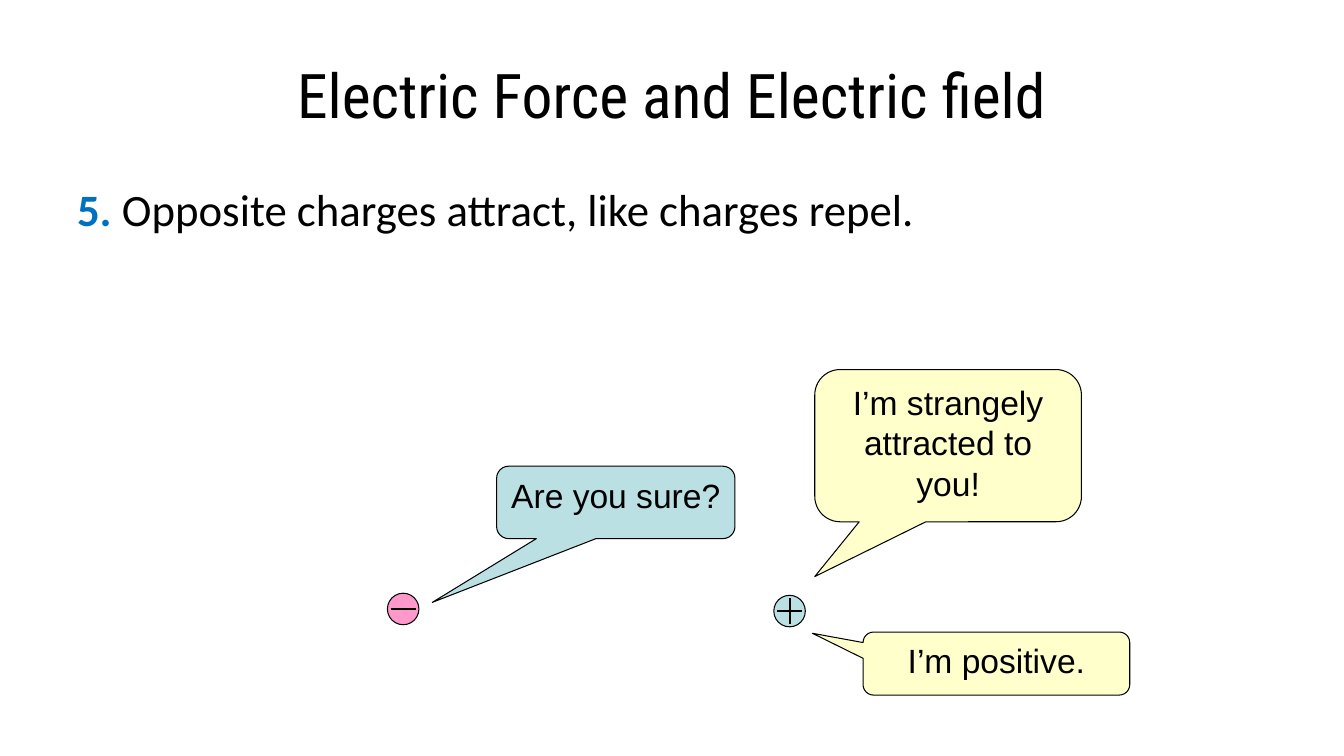
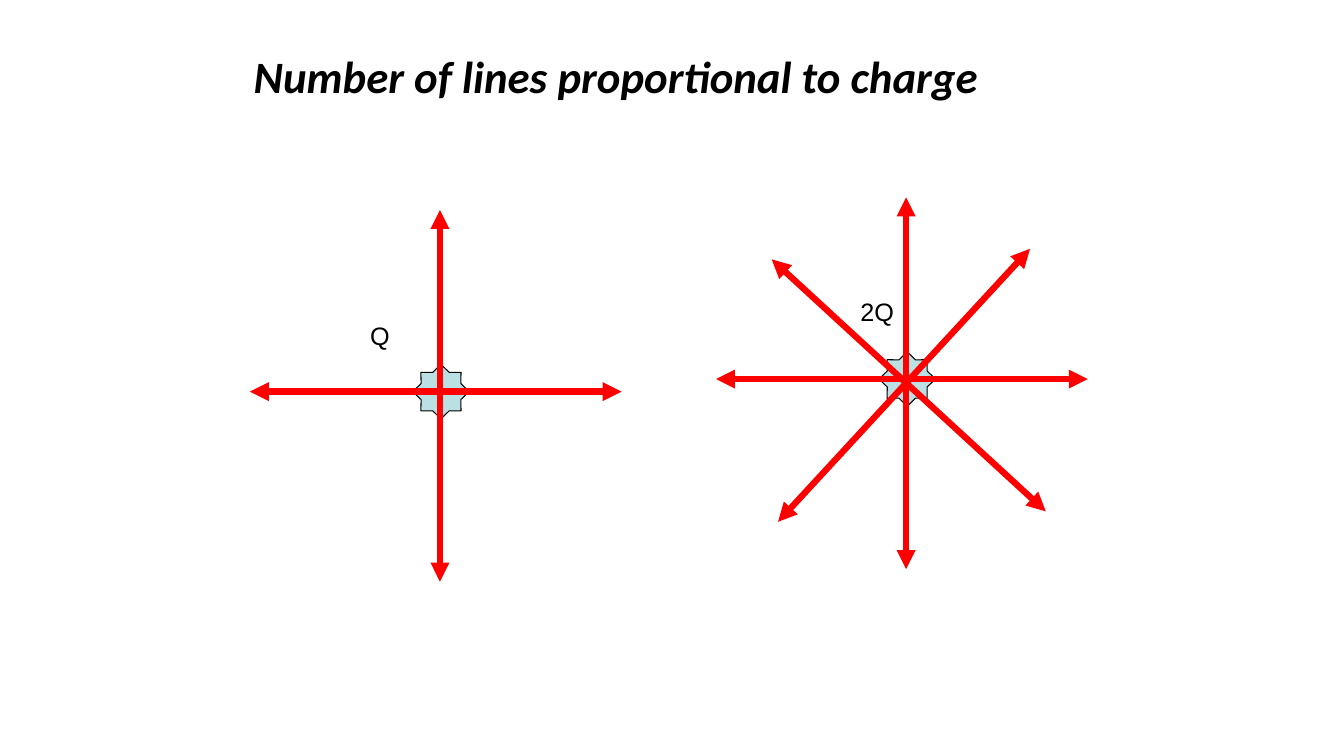
from pptx import Presentation
from pptx.dml.color import RGBColor
from pptx.enum.shapes import MSO_CONNECTOR, MSO_SHAPE
from pptx.enum.text import MSO_ANCHOR, MSO_AUTO_SIZE, PP_ALIGN
from pptx.oxml.ns import qn
from pptx.util import Pt
from lxml.etree import SubElement

EMU_PER_PX = 9525
COLORS = {
    "black": "000000",
    "blue": "0070C0",
    "pink": "FF99CC",
    "teal": "BBE0E3",
    "cream": "FFFFCC",
    "red": "FF0000",
}
TITLE_ONLY = 5

# Field lines as start and end offsets from the charge
CROSS_LINES = [((-181, 0), (173, 0)), ((0, 181), (0, -173))]
DIAGONAL_LINES = [((-122, 136), (118, -124)), ((133, 126), (-128, -114))]


def px(*lengths):
    return [length * EMU_PER_PX for length in lengths]


def rgb(name):
    return RGBColor.from_string(COLORS[name])


# Text
def add_run(paragraph, text, size=24, font="Arial", color="black", bold=False, italic=False):
    run = paragraph.add_run()
    run.text = text
    run.font.size = Pt(size)
    run.font.name = font
    run.font.color.rgb = rgb(color)
    run.font.bold = bold
    run.font.italic = italic


def add_text_box(shapes, box, wrap=True):
    text_frame = shapes.add_textbox(*px(*box)).text_frame
    text_frame.word_wrap = wrap
    return text_frame.paragraphs[0]


def add_titled_slide(presentation, text, box, align=PP_ALIGN.CENTER,
                     anchor=MSO_ANCHOR.MIDDLE, space_before=0, **text_format):
    slide = presentation.slides.add_slide(presentation.slide_layouts[TITLE_ONLY])
    title = slide.shapes.title
    title.left, title.top, title.width, title.height = px(*box)
    title.text_frame.auto_size = MSO_AUTO_SIZE.NONE
    title.text_frame.vertical_anchor = anchor
    paragraph = title.text_frame.paragraphs[0]
    paragraph.alignment = align
    paragraph.space_before = Pt(space_before)
    add_run(paragraph, text, **text_format)
    return slide


# Shapes and lines
def add_outlined_shape(shapes, kind, box, fill):
    shape = shapes.add_shape(kind, *px(*box))
    shape.shadow.inherit = False
    shape.fill.solid()
    shape.fill.fore_color.rgb = rgb(fill)
    shape.line.color.rgb = rgb("black")
    shape.line.width = Pt(0.75)
    return shape


def add_line(shapes, start, end, color="black", width=1.5, arrows=False):
    connector = shapes.add_connector(MSO_CONNECTOR.STRAIGHT, *px(*start, *end))
    connector.line.color.rgb = rgb(color)
    connector.line.width = Pt(width)
    if arrows:
        line = connector.line._get_or_add_ln()
        for tag in ("a:headEnd", "a:tailEnd"):
            SubElement(line, qn(tag), type="triangle")
    SubElement(connector._element.spPr, qn("a:effectLst"))


def add_callout(shapes, text, box, fill, tip):
    callout = add_outlined_shape(shapes, MSO_SHAPE.ROUNDED_RECTANGULAR_CALLOUT, box, fill)
    callout.adjustments[0], callout.adjustments[1] = tip
    callout.text_frame.word_wrap = True
    callout.text_frame.vertical_anchor = MSO_ANCHOR.TOP
    paragraph = callout.text_frame.paragraphs[0]
    paragraph.alignment = PP_ALIGN.CENTER
    add_run(paragraph, text)


# Charges
def add_charge(slide, x, y, fill, positive=False):
    shapes = slide.shapes.add_group_shape().shapes
    radius, arm = 15, 12
    add_outlined_shape(shapes, MSO_SHAPE.OVAL,
                       (x - radius, y - radius, 2 * radius, 2 * radius), fill)
    add_line(shapes, (x - arm, y), (x + arm, y))
    if positive:
        add_line(shapes, (x, y - arm), (x, y + arm))


def add_field(slide, x, y, label, label_offset, label_width, field_lines):
    shapes = slide.shapes.add_group_shape().shapes
    star = add_outlined_shape(shapes, MSO_SHAPE.STAR_8_POINT, (x - 26, y - 26, 54, 52), "teal")
    star.adjustments[0] = 0.38
    for (start_x, start_y), (end_x, end_y) in field_lines:
        add_line(shapes, (x + start_x, y + start_y), (x + end_x, y + end_y),
                 color="red", width=4.5, arrows=True)
    label_x, label_y = label_offset
    paragraph = add_text_box(shapes, (x + label_x, y + label_y, label_width, 38), wrap=False)
    add_run(paragraph, label, size=18)


# Slides
def build_attraction_slide(presentation):
    slide = add_titled_slide(presentation, "Electric Force and Electric field",
                             (64, 29, 1152, 120), size=44, font="Roboto Condensed")
    rule = add_text_box(slide.shapes, (64, 168, 1152, 475))
    rule.space_before = Pt(6.4)
    add_run(rule, "5.", size=32, font="Calibri", color="blue", bold=True)
    add_run(rule, " Opposite charges attract, like charges repel.", size=32, font="Calibri")

    add_charge(slide, 384, 580, "pink")
    add_charge(slide, 752, 582, "teal", positive=True)
    for text, box, fill, tip in [
        ("I’m strangely attracted to you!", (776, 352, 254, 145), "cream", (-0.5, 0.86)),
        ("Are you sure?", (473, 444, 227, 69), "teal", (-0.77, 1.38)),
        ("I’m positive.", (822, 602, 254, 60), "cream", (-0.69, -0.48)),
    ]:
        add_callout(slide.shapes, text, box, fill, tip)


def build_field_lines_slide(presentation):
    slide = add_titled_slide(presentation, "Number of lines proportional to charge",
                             (232, 42, 816, 87), align=PP_ALIGN.LEFT, anchor=MSO_ANCHOR.TOP,
                             space_before=6.4, size=32, font="Calibri", bold=True, italic=True)
    add_field(slide, 419, 373, "Q", (-76, -73), 38, CROSS_LINES)
    add_field(slide, 863, 361, "2Q", (-53, -84), 52, CROSS_LINES + DIAGONAL_LINES)


def main():
    presentation = Presentation()
    presentation.slide_width, presentation.slide_height = px(1280, 720)
    build_attraction_slide(presentation)
    build_field_lines_slide(presentation)
    presentation.save("out.pptx")


if __name__ == "__main__":
    main()
